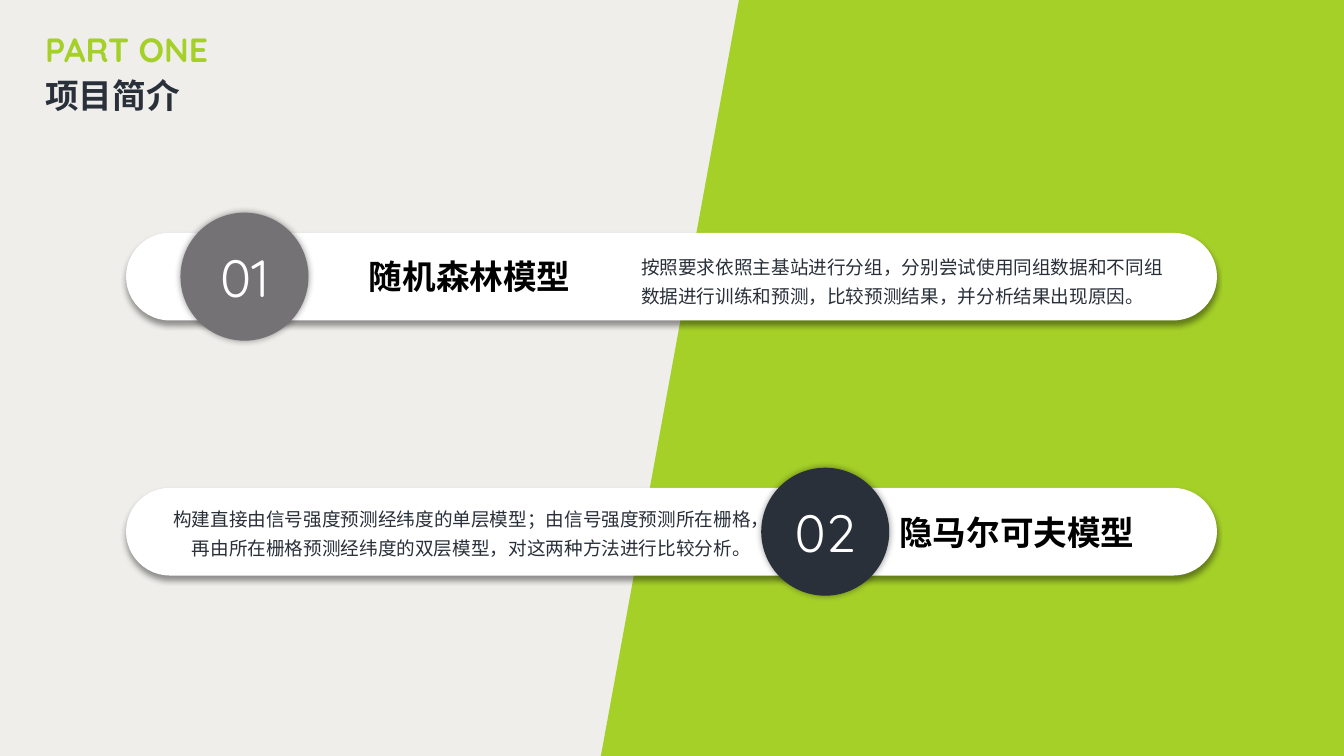
from lxml.etree import SubElement
from pptx import Presentation
from pptx.dml.color import RGBColor
from pptx.enum.shapes import MSO_SHAPE
from pptx.enum.text import MSO_ANCHOR, MSO_AUTO_SIZE, PP_ALIGN
from pptx.oxml.ns import qn
from pptx.util import Pt

PX = 9144
WIDTH, HEIGHT = 1333, 750
LIME = RGBColor(0xA5, 0xD0, 0x28)
CREAM = RGBColor(0xEF, 0xEE, 0xEB)
NAVY = RGBColor(0x29, 0x30, 0x3A)
GREY = RGBColor(0x75, 0x72, 0x76)
WHITE = RGBColor(0xFF, 0xFF, 0xFF)
BLACK = RGBColor(0x00, 0x00, 0x00)
LATIN_FONT = "Quicksand"
CJK_FONT = "Noto Sans CJK SC"


def write(shape, text, size=24, color=BLACK, font=CJK_FONT, bold=False,
          align=PP_ALIGN.LEFT, spacing=1.0, anchor=MSO_ANCHOR.TOP,
          wrap=True, fit=MSO_AUTO_SIZE.NONE):
    frame = shape.text_frame
    frame.word_wrap = wrap
    frame.auto_size = fit
    frame.vertical_anchor = anchor
    paragraph = frame.paragraphs[0]
    paragraph.alignment = align
    paragraph.line_spacing = spacing
    run = paragraph.add_run()
    run.text = text
    run.font.size = Pt(size)
    run.font.bold = bold
    run.font.color.rgb = color
    run.font.name = font
    SubElement(run.font._element, qn("a:ea"), typeface=font)


class ModelSlide:
    """Draws the elements of one slide in a shared style."""

    def __init__(self, deck):
        self.slide = deck.slides.add_slide(deck.slide_layouts[5])
        self.shapes = self.slide.shapes
        self.slide.background.fill.solid()
        self.slide.background.fill.fore_color.rgb = CREAM

    def paint(self, shape, color):
        shape.fill.solid()
        shape.fill.fore_color.rgb = color
        shape.line.fill.background()
        shape.shadow.inherit = False

    def cast_shadow(self, shape, blur, distance):
        effects = shape._element.spPr.find(qn("a:effectLst"))
        shadow = SubElement(effects, qn("a:outerShdw"), blurRad=str(Pt(blur)),
                            dist=str(Pt(distance)), dir="5400000",
                            algn="ctr", rotWithShape="0")
        black = SubElement(shadow, qn("a:srgbClr"), val=str(BLACK))
        SubElement(black, qn("a:alpha"), val="40000")

    def panel(self, corners, color):
        builder = self.shapes.build_freeform(*corners[0], scale=PX)
        builder.add_line_segments(corners[1:], close=True)
        self.paint(builder.convert_to_shape(), color)

    def title(self, text, left, top, width, height):
        title = self.shapes.title
        title.left, title.top = left * PX, top * PX
        title.width, title.height = width * PX, height * PX
        write(title, text, color=NAVY, bold=True, spacing=0.9)

    def label(self, text, left, top, width, height, **style):
        box = self.shapes.add_textbox(left * PX, top * PX, width * PX, height * PX)
        write(box, text, **style)

    def bar(self, left, top, width, height):
        bar = self.shapes.add_shape(MSO_SHAPE.ROUNDED_RECTANGLE, left * PX, top * PX,
                                    width * PX, height * PX)
        bar.adjustments[0] = 0.5
        self.paint(bar, WHITE)
        self.cast_shadow(bar, blur=4, distance=3)

    def badge(self, number, left, top, size, color):
        badge = self.shapes.add_shape(MSO_SHAPE.OVAL, left * PX, top * PX,
                                      size * PX, size * PX)
        self.paint(badge, color)
        self.cast_shadow(badge, blur=5, distance=0)
        write(badge, number, size=37.4, color=WHITE, font=LATIN_FONT,
              align=PP_ALIGN.CENTER, anchor=MSO_ANCHOR.MIDDLE)

    def model(self, number, name, summary, bar_top, badge_left, badge_color,
              name_box, summary_box, align):
        self.bar(125, bar_top, 1082, 87)
        self.label(summary, *summary_box, size=13.3, color=NAVY, align=align,
                   spacing=1.3, fit=MSO_AUTO_SIZE.SHAPE_TO_FIT_TEXT)
        self.label(name, *name_box, bold=True, wrap=False,
                   fit=MSO_AUTO_SIZE.SHAPE_TO_FIT_TEXT)
        self.badge(number, badge_left, bar_top - 20, 127, badge_color)


def main():
    deck = Presentation()
    deck.slide_width, deck.slide_height = WIDTH * PX, HEIGHT * PX
    page = ModelSlide(deck)
    page.panel([(733, 0), (WIDTH, 0), (WIDTH, HEIGHT), (596, HEIGHT)], LIME)
    page.label("PART ONE", 35, 28, 384, 46, color=LIME, font=LATIN_FONT,
               bold=True, spacing=0.9)
    page.title("项目简介", 35, 74, 384, 58)
    page.model("01", "随机森林模型",
               "按照要求依照主基站进行分组，分别尝试使用同组数据和不同组"
               "数据进行训练和预测，比较预测结果，并分析结果出现原因。",
               bar_top=231, badge_left=179, badge_color=GREY,
               name_box=(356, 249, 220, 50), summary_box=(626, 242, 544, 69),
               align=PP_ALIGN.LEFT)
    page.model("02", "隐马尔可夫模型",
               "构建直接由信号强度预测经纬度的单层模型；由信号强度预测所在栅格，"
               "再由所在栅格预测经纬度的双层模型，对这两种方法进行比较分析。",
               bar_top=484, badge_left=755, badge_color=NAVY,
               name_box=(882, 503, 253, 50), summary_box=(156, 492, 599, 69),
               align=PP_ALIGN.RIGHT)
    deck.save("out.pptx")


if __name__ == "__main__":
    main()
